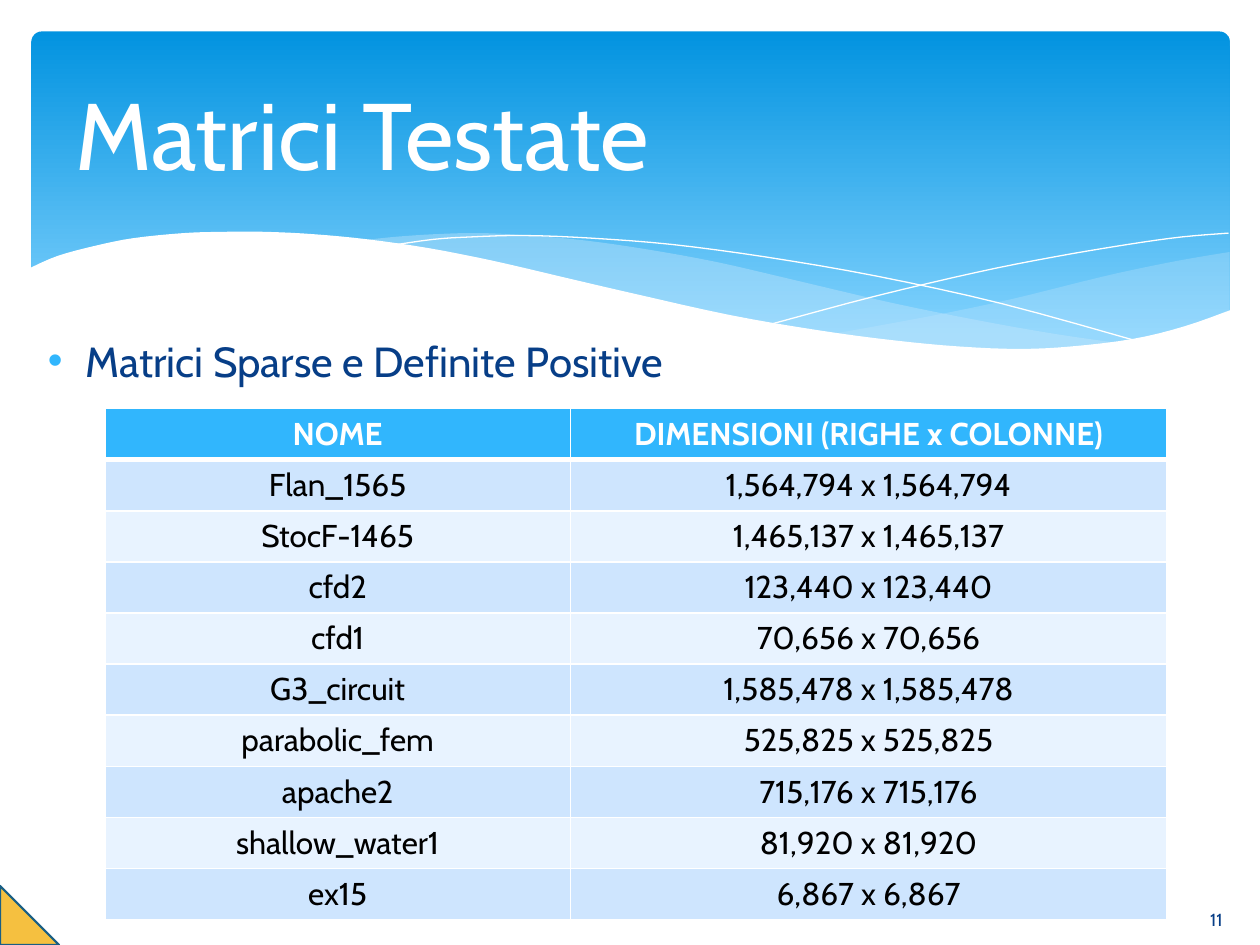
from lxml.etree import SubElement
from pptx import Presentation
from pptx.dml.color import RGBColor
from pptx.enum.shapes import MSO_SHAPE
from pptx.enum.text import MSO_ANCHOR, PP_ALIGN
from pptx.oxml import parse_xml
from pptx.oxml.ns import nsdecls, qn
from pptx.util import Pt

THEME = {
    "font": "Cabin",
    "white": "FFFFFF", "black": "000000", "navy": "073E87", "sky": "31B6FD",
    "top": "0293E0", "base": "83D3FE", "wave": "C6E7FC",
    "bands": ("CEE5FE", "E8F3FF"), "gold": "F5C040", "edge": "195F84",
    "title": 54, "body": 24, "cell": 18, "page": 10,
}

TITLE = "Matrici Testate"
BULLET = "Matrici Sparse e Definite Positive"
PAGE = "11"
ROWS = [
    ("NOME", "DIMENSIONI (RIGHE x COLONNE)"),
    ("Flan_1565", "1,564,794 x 1,564,794"),
    ("StocF-1465", "1,465,137 x 1,465,137"),
    ("cfd2", "123,440 x 123,440"),
    ("cfd1", "70,656 x 70,656"),
    ("G3_circuit", "1,585,478 x 1,585,478"),
    ("parabolic_fem", "525,825 x 525,825"),
    ("apache2", "715,176 x 715,176"),
    ("shallow_water1", "81,920 x 81,920"),
    ("ex15", "6,867 x 6,867"),
]
COLS = (265.9, 340.8)
TABLE_LEFT, TABLE_TOP, ROW_H = 60, 233.5, 29.2

# Each wave is a list of curves; corners fall only where two curves meet.
SMALL_WAVE = [
    [(702.7, 144), (673.2, 149), (641.5, 155.5), (619.9, 160.6),
     (579.6, 170.6), (542.2, 178.6), (508.3, 185), (475.9, 190.8)],
    [(475.9, 190.8), (507.6, 195.1), (536.4, 198), (570.2, 199.4),
     (601.2, 199.4), (634.3, 196.6), (663.1, 190.8), (683.3, 185),
     (702.7, 177.8)],
]
WIDE_WAVE = [
    [(643, 196.6), (602.6, 190.8), (558, 182.9), (508.3, 172.8),
     (452.9, 159.8), (409.7, 149.8), (370.1, 142.6), (334.8, 137.5),
     (302.4, 134.6), (273.6, 133.2), (247.7, 133.9), (225.4, 135.4),
     (205.9, 137.5)],
    [(205.9, 137.5), (246.2, 143.3), (290.9, 151.9), (323.3, 159.8),
     (381.6, 172.8), (432.7, 183.6), (478.8, 191.5), (519.8, 197.3),
     (556.6, 199.4), (589, 200.2), (617, 199.4), (643, 196.6)],
]
FALL_LINE = [
    [(222.5, 140.4), (247.7, 136.8), (269.3, 135.4), (299.5, 134.6),
     (337.7, 136.1), (383.8, 139.7), (437.8, 146.9), (500.4, 157.7),
     (572.4, 173.5), (653, 195.8)],
]
RISE_LINE = [
    [(441.4, 185), (500.4, 169.2), (558.7, 155.5), (601.9, 146.9),
     (644.4, 139.7), (675.4, 135.4), (702, 133.2)],
]
WHITE_WAVE = [
    [(703.4, 177.1), (676.8, 186.5), (647.3, 193.7), (612, 198),
     (582.5, 199.4), (547.9, 198), (509.8, 194.4), (466.6, 188.6),
     (416.9, 180), (362.2, 167.8), (321.8, 158.4), (281.5, 149),
     (244.8, 141.8), (210.2, 136.8), (180, 133.9), (151.9, 132.5),
     (127.4, 132.5), (105.1, 133.2), (76.3, 136.1), (54.7, 140.4),
     (33.1, 146.2), (16.6, 153.4)],
    [(16.6, 236.9), (703.4, 236.9)],
]
# curves, fill colour, opacity in percent; no fill means an open white line
WAVES = [
    (SMALL_WAVE, "wave", 29),
    (WIDE_WAVE, "wave", 40),
    (FALL_LINE, None, 100),
    (RISE_LINE, None, 100),
    (WHITE_WAVE, "white", 100),
]


def rgb(name):
    return RGBColor.from_string(THEME.get(name, name))


def smooth(dots, steps=4):
    """Return points along a Catmull-Rom curve through the dots."""
    ends = [dots[0], *dots, dots[-1]]
    out = [dots[0]]
    for a, b, c, d in zip(ends, ends[1:], ends[2:], ends[3:]):
        for k in range(1, steps + 1):
            t = k / steps
            out.append(tuple(
                (2 * q + (r - p) * t + (2 * p - 5 * q + 4 * r - s) * t**2
                 + (3 * q - p - 3 * r + s) * t**3) / 2
                for p, q, r, s in zip(a, b, c, d)))
    return out


def add_wave(slide, curves, fill, alpha):
    dots = [(Pt(x), Pt(y)) for curve in curves for x, y in smooth(curve)]
    pen = slide.shapes.build_freeform(*dots[0])
    pen.add_line_segments(dots[1:], close=fill is not None)
    wave = pen.convert_to_shape()
    wave.shadow.inherit = False
    if fill is None:
        wave.fill.background()
        wave.line.color.rgb = rgb("white")
        wave.line.width = Pt(0)
        return
    wave.fill.solid()
    wave.fill.fore_color.rgb = rgb(fill)
    wave.line.fill.background()
    if alpha < 100:
        tint = wave.fill._xPr.find(".//" + qn("a:srgbClr"))
        SubElement(tint, qn("a:alpha"), val=str(alpha * 1000))


def write(frame, text, size, color, bold=False, align=PP_ALIGN.LEFT):
    para = frame.paragraphs[0]
    para.alignment = align
    run = para.add_run()
    run.text = text
    look = {"name": THEME["font"], "size": Pt(THEME[size]), "bold": bold}
    for key, value in look.items():
        setattr(run.font, key, value)
    run.font.color.rgb = rgb(color)
    return para


def add_text(slide, box, text, size, color, anchor, align):
    frame = slide.shapes.add_textbox(*map(Pt, box)).text_frame
    frame.word_wrap = True
    frame.vertical_anchor = anchor
    return write(frame, text, size, color, align=align)


def add_bullet(para):
    props = para._p.get_or_add_pPr()
    props.set("marL", str(Pt(21.6)))
    props.set("indent", str(-Pt(21.6)))
    tint = SubElement(SubElement(props, qn("a:buClr")), qn("a:srgbClr"))
    tint.set("val", THEME["sky"])
    SubElement(props, qn("a:buFont"), typeface="Arial")
    SubElement(props, qn("a:buChar"), char="•")


def add_borders(cell, widths):
    props = cell._tc.get_or_add_tcPr()
    for at, (side, width) in enumerate(widths.items()):
        props.insert(at, parse_xml(
            f'<a:ln{side} {nsdecls("a")} w="{Pt(width)}"><a:solidFill>'
            f'<a:srgbClr val="{THEME["white"]}"/></a:solidFill></a:ln{side}>'))


def add_grid(slide):
    grid = slide.shapes.add_table(
        len(ROWS), len(COLS), Pt(TABLE_LEFT), Pt(TABLE_TOP),
        Pt(sum(COLS)), Pt(ROW_H * len(ROWS))).table
    for col, width in zip(grid.columns, COLS):
        col.width = Pt(width)
    for i, row in enumerate(ROWS):
        grid.rows[i].height = Pt(ROW_H)
        head = i == 0
        for j, text in enumerate(row):
            cell = grid.cell(i, j)
            cell.fill.solid()
            cell.fill.fore_color.rgb = rgb(
                "sky" if head else THEME["bands"][(i - 1) % 2])
            write(cell.text_frame, text, "cell", "white" if head else "black",
                  head, PP_ALIGN.CENTER)
            add_borders(cell, {"L": 1, "R": 1, "T": 3 if i == 1 else 1,
                               "B": 3 if head else 1})


def add_banner(slide):
    banner = slide.shapes.add_shape(
        MSO_SHAPE.ROUNDED_RECTANGLE, Pt(18), Pt(18), Pt(684.7), Pt(194.4))
    banner.adjustments[0] = 0.03
    banner.shadow.inherit = False
    banner.line.fill.background()
    banner.fill.gradient()
    banner.fill.gradient_angle = 270
    stops = zip(banner.fill.gradient_stops, (("top", 0), ("base", 0.9)))
    for stop, (color, place) in stops:
        stop.color.rgb = rgb(color)
        stop.position = place


def add_corner(slide):
    corner = slide.shapes.add_shape(
        MSO_SHAPE.RIGHT_TRIANGLE, Pt(0), Pt(506.2), Pt(33.8), Pt(33.8))
    corner.shadow.inherit = False
    corner.fill.solid()
    corner.fill.fore_color.rgb = rgb("gold")
    corner.line.color.rgb = rgb("edge")
    corner.line.width = Pt(1.25)


def main():
    deck = Presentation()
    deck.slide_width, deck.slide_height = Pt(720), Pt(540)
    slide = deck.slides.add_slide(deck.slide_layouts[6])
    add_banner(slide)
    for wave in WAVES:
        add_wave(slide, *wave)
    add_text(slide, (36, 26.6, 648, 98.6), TITLE, "title", "white",
             MSO_ANCHOR.MIDDLE, PP_ALIGN.LEFT)
    add_grid(slide)
    add_bullet(add_text(slide, (20.2, 187.9, 589, 45.4), BULLET, "body",
                        "navy", MSO_ANCHOR.TOP, PP_ALIGN.JUSTIFY))
    add_text(slide, (649.4, 511.2, 91.4, 28.8), PAGE, "page", "navy",
             MSO_ANCHOR.MIDDLE, PP_ALIGN.CENTER)
    add_corner(slide)
    deck.save("out.pptx")


if __name__ == "__main__":
    main()
